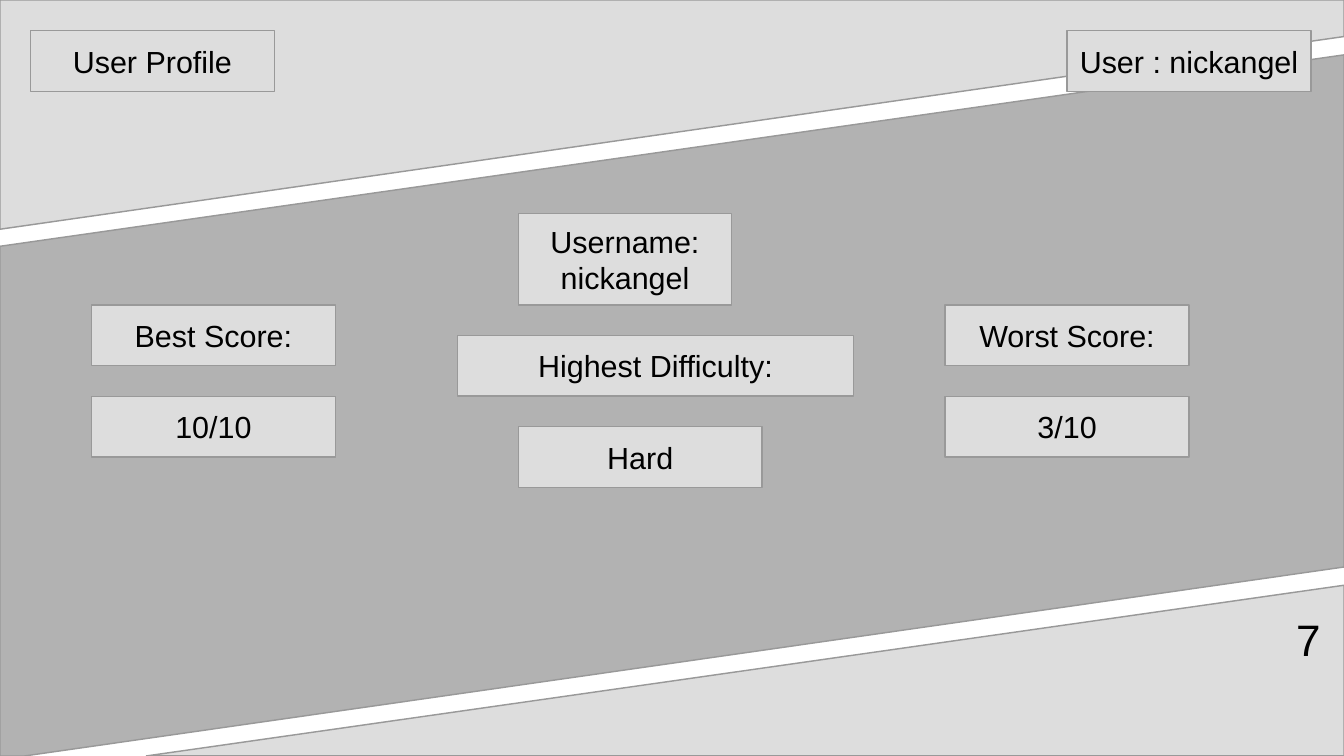
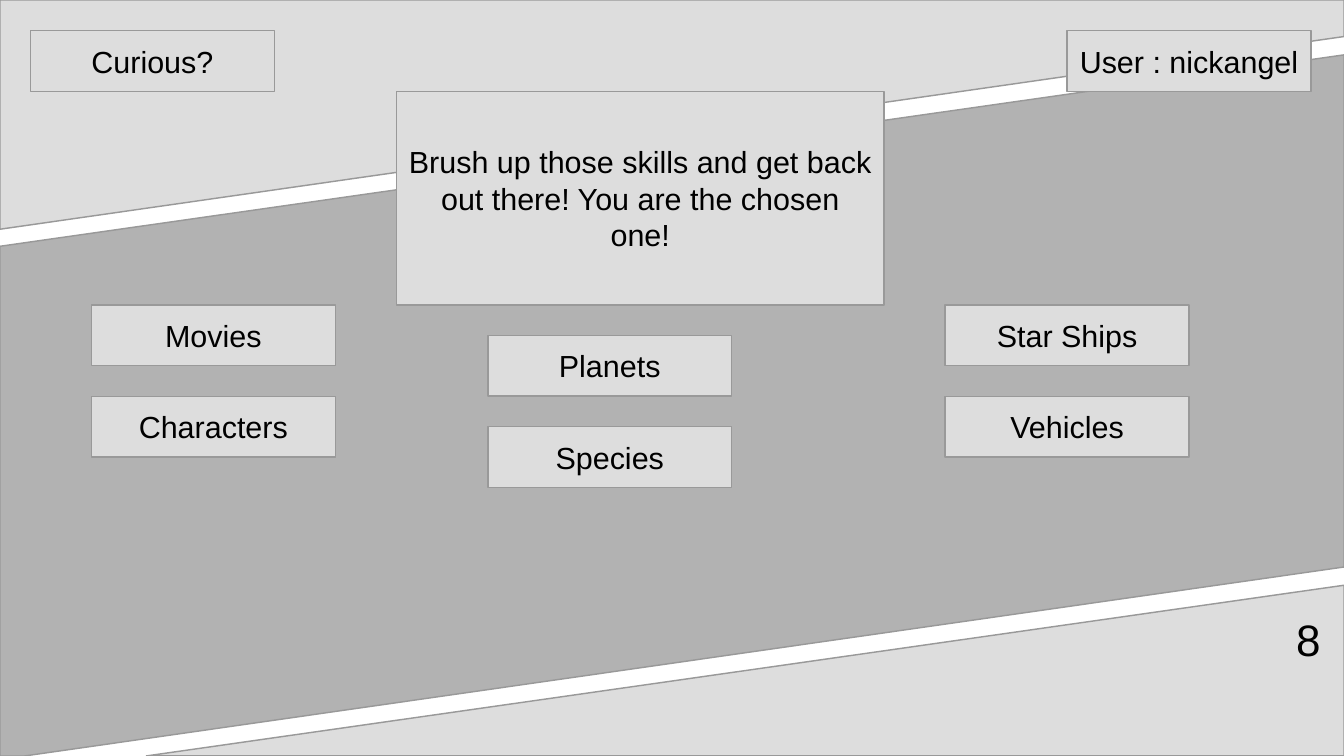
from pptx import Presentation
from pptx.dml.color import RGBColor
from pptx.enum.shapes import MSO_SHAPE
from pptx.enum.text import MSO_ANCHOR, MSO_AUTO_SIZE, PP_ALIGN
from pptx.util import Inches, Pt

RECTANGLE = MSO_SHAPE.RECTANGLE
MIDDLE, TOP = MSO_ANCHOR.MIDDLE, MSO_ANCHOR.TOP
CENTER, RIGHT = PP_ALIGN.CENTER, PP_ALIGN.RIGHT
NO_AUTOFIT = MSO_AUTO_SIZE.NONE

COLORS = {"panel": "DDDDDD", "middle": "B2B2B2", "outline": "999999", "text": "000000"}
FONT = "Arial"
WIDTH, HEIGHT = 11.02, 6.2
UNIT = 0.25  # grid step in inches
TITLE_ONLY = 5

# Slanted background bands: fill and corner points, back to front
BANDS = [
    ("panel", [(1.2, HEIGHT), (WIDTH, HEIGHT), (WIDTH, 4.8)]),
    ("middle", [(0, HEIGHT), (0.2, HEIGHT), (WIDTH, 4.65), (WIDTH, 0.45), (0, 2.02)]),
    ("panel", [(0, 1.88), (0, 0), (WIDTH, 0), (WIDTH, 0.3)]),
]

# Header boxes and side columns as (column, row, columns, rows) on the grid
TITLE_CELL = (1, 1, 8, 2)
USER_CELL = (35, 1, 8, 2)
LEFT_CELL = (3, 10, 8, 2)
RIGHT_CELL = (31, 10, 8, 2)
ROW_STEP = 3
NUMBER_BOX = (8.07, 5.02, 2.76, 0.43)

SLIDES = [
    {
        "title": "User Profile",
        "number": "7",
        "left": ["Best Score:", "10/10"],
        "right": ["Worst Score:", "3/10"],
        "center": [
            ("Username: nickangel", (17, 7, 7, 3)),
            ("Highest Difficulty:", (15, 11, 13, 2)),
            ("Hard", (17, 14, 8, 2)),
        ],
    },
    {
        "title": "Curious?",
        "number": "8",
        "left": ["Movies", "Characters"],
        "right": ["Star Ships", "Vehicles"],
        "center": [
            ("Brush up those skills and get back out there! You are the chosen one!",
             (13, 3, 16, 7)),
            ("Planets", (16, 11, 8, 2)),
            ("Species", (16, 14, 8, 2)),
        ],
    },
]


def grid_box(cell):
    return [Inches(value * UNIT) for value in cell]


def paint(shape, fill):
    shape.fill.solid()
    shape.fill.fore_color.rgb = RGBColor.from_string(COLORS[fill])
    shape.line.color.rgb = RGBColor.from_string(COLORS["outline"])
    shape.line.width = Pt(0.85)


def write(shape, text, size=18, align=CENTER, anchor=MIDDLE, insets=(0.1, 0.05)):
    frame = shape.text_frame
    frame.word_wrap = True
    frame.auto_size = NO_AUTOFIT
    frame.vertical_anchor = anchor
    frame.margin_left = frame.margin_right = Inches(insets[0])
    frame.margin_top = frame.margin_bottom = Inches(insets[1])
    paragraph = frame.paragraphs[0]
    paragraph.alignment = align
    run = paragraph.add_run()
    run.text = text
    run.font.name = FONT
    run.font.size = Pt(size)
    run.font.color.rgb = RGBColor.from_string(COLORS["text"])


def add_panel(slide, text, cell):
    panel = slide.shapes.add_shape(RECTANGLE, *grid_box(cell))
    panel.shadow.inherit = False
    paint(panel, "panel")
    write(panel, text)


def add_bands(slide, layout):
    """Draw the bands and move them into the layout that all slides share."""
    for position, (fill, points) in enumerate(BANDS, start=2):
        corners = [(Inches(x), Inches(y)) for x, y in points]
        builder = slide.shapes.build_freeform(*corners[0])
        builder.add_line_segments(corners[1:], close=True)
        band = builder.convert_to_shape()
        band.shadow.inherit = False
        paint(band, fill)
        layout.shapes.element.insert(position, band.element)


def add_header(slide, title_text):
    title = slide.shapes.title
    title.left, title.top, title.width, title.height = grid_box(TITLE_CELL)
    paint(title, "panel")
    write(title, title_text)
    add_panel(slide, "User : nickangel", USER_CELL)


def add_column(slide, texts, first_cell):
    column, row, columns, rows = first_cell
    for index, text in enumerate(texts):
        add_panel(slide, text, (column, row + index * ROW_STEP, columns, rows))


def add_page_number(slide, number):
    box = slide.shapes.add_textbox(*[Inches(value) for value in NUMBER_BOX])
    write(box, number, size=26, align=RIGHT, anchor=TOP, insets=(0, 0))


def add_menu_slide(slide, content):
    add_header(slide, content["title"])
    for text, cell in content["center"]:
        add_panel(slide, text, cell)
    add_column(slide, content["left"], LEFT_CELL)
    add_column(slide, content["right"], RIGHT_CELL)
    add_page_number(slide, content["number"])


def main():
    presentation = Presentation()
    presentation.slide_width = Inches(WIDTH)
    presentation.slide_height = Inches(HEIGHT)
    layout = presentation.slide_layouts[TITLE_ONLY]
    slides = [presentation.slides.add_slide(layout) for _ in SLIDES]
    add_bands(slides[0], layout)
    for slide, content in zip(slides, SLIDES):
        add_menu_slide(slide, content)
    presentation.save("out.pptx")


if __name__ == "__main__":
    main()
